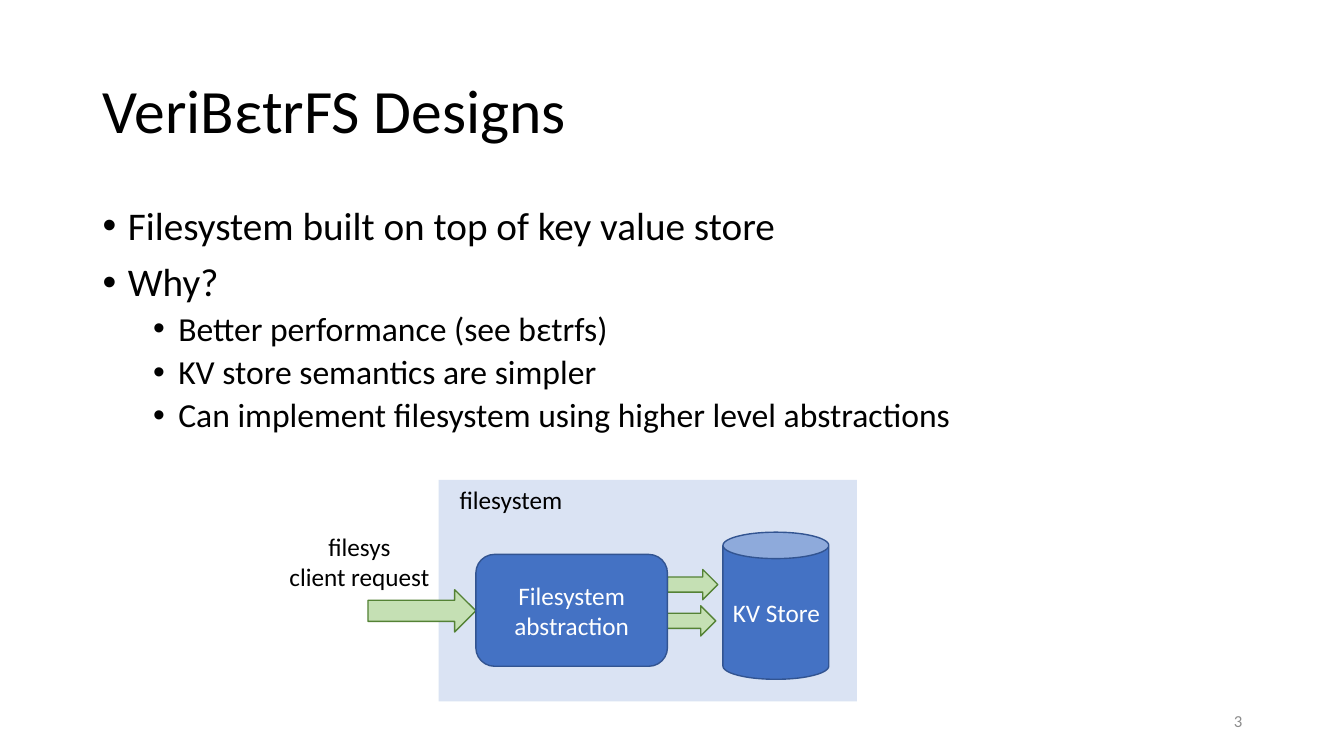
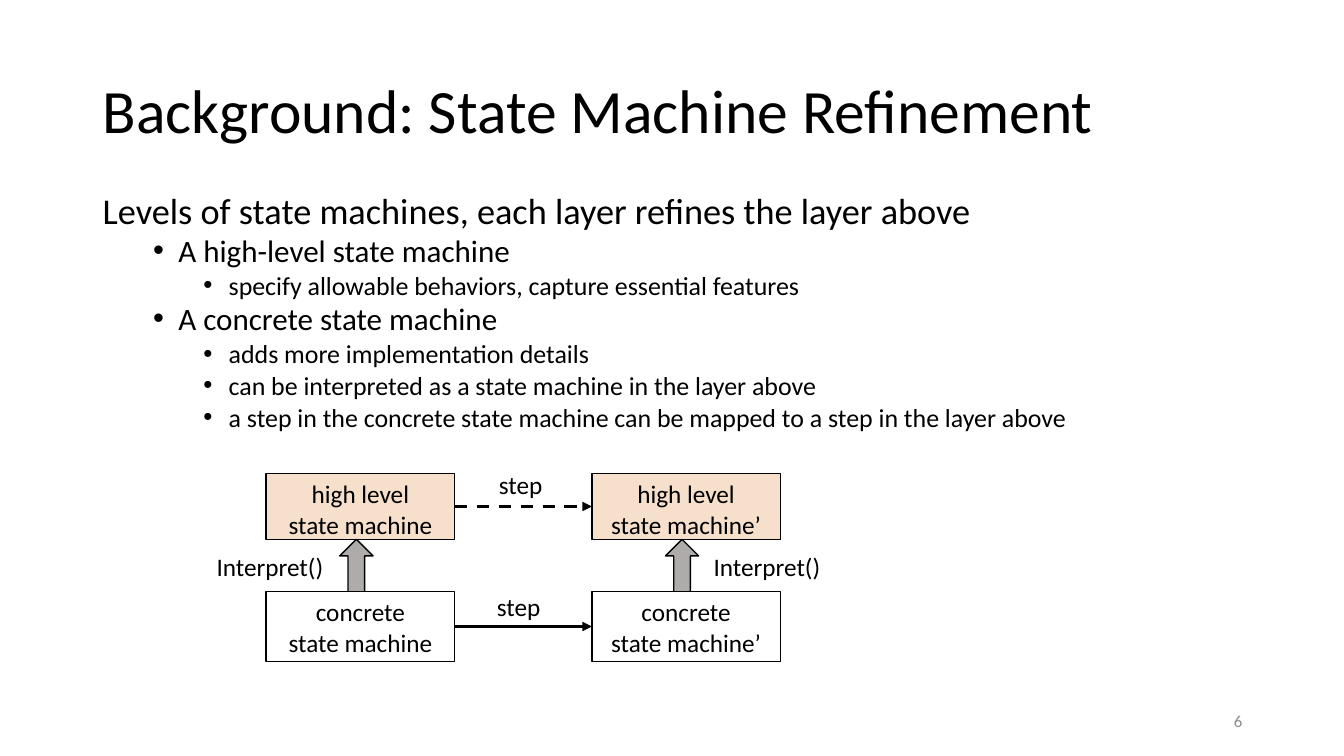
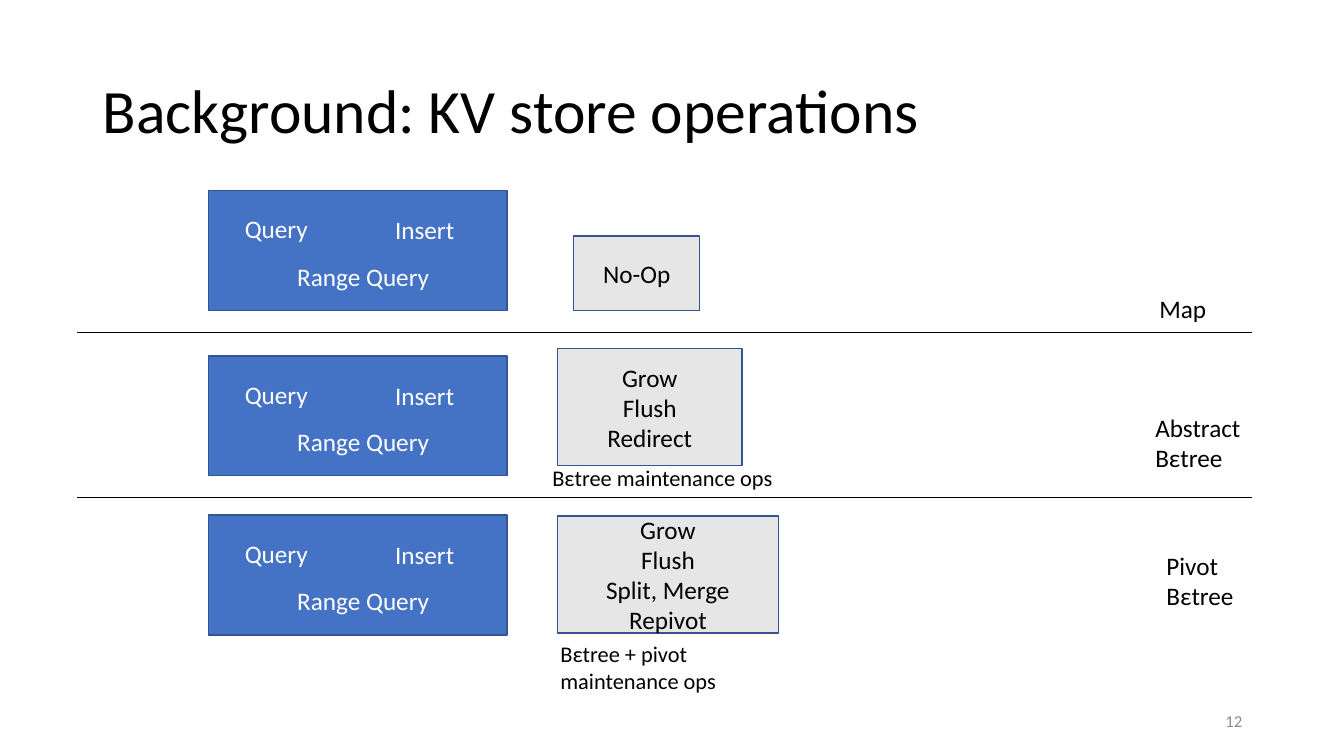
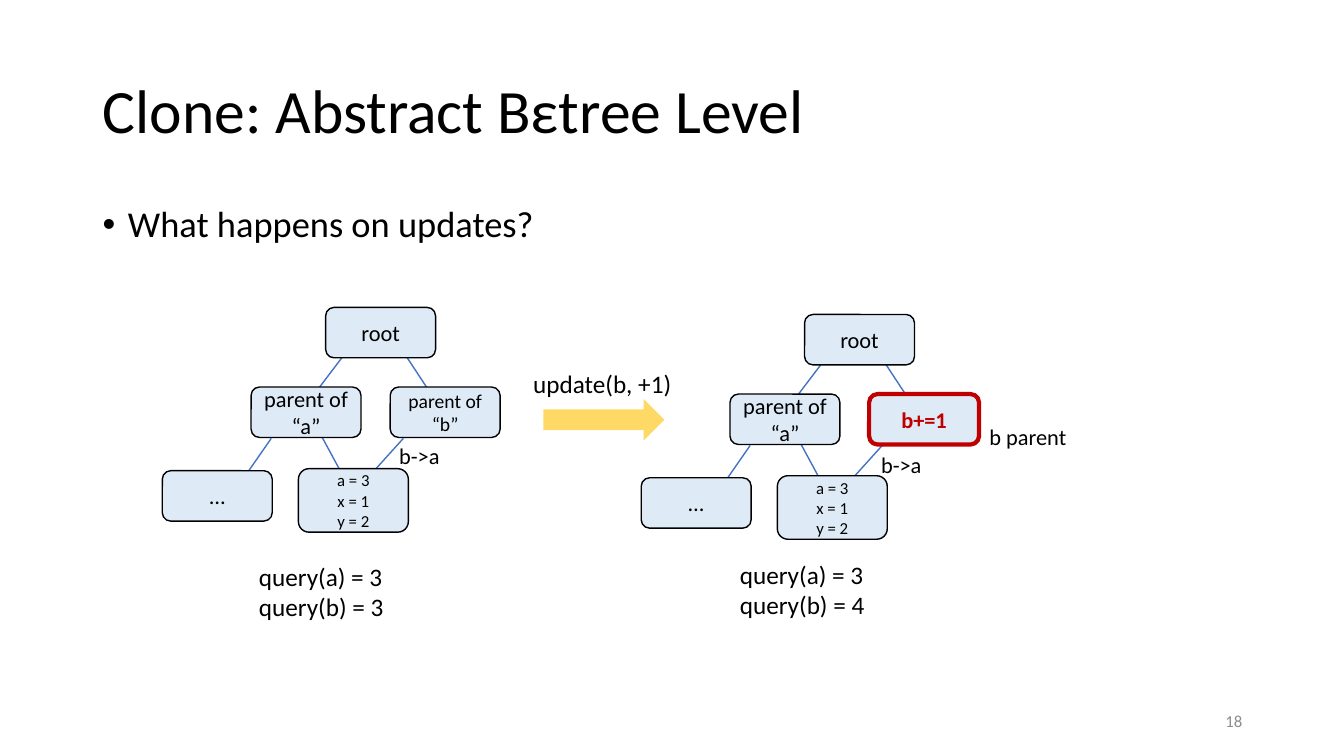
from lxml import etree
from pptx import Presentation
from pptx.dml.color import RGBColor
from pptx.enum import dml, shapes, text
from pptx.oxml.ns import qn
from pptx.util import Inches, Pt

FONT = "Calibri"
BLACK = RGBColor(0x00, 0x00, 0x00)
WHITE = RGBColor(0xFF, 0xFF, 0xFF)
MUTED = RGBColor(0x8C, 0x8C, 0x8C)
BLUE = RGBColor(0x44, 0x72, 0xC4)
NAVY = RGBColor(0x32, 0x54, 0x91)
PALE = RGBColor(0xDA, 0xE3, 0xF3)
ICE = RGBColor(0xDE, 0xEB, 0xF7)
MINT = RGBColor(0xC5, 0xE0, 0xB4)
GREEN = RGBColor(0x54, 0x82, 0x35)
PEACH = RGBColor(0xF6, 0xE0, 0xCC)
STONE = RGBColor(0xAF, 0xAB, 0xAB)
SMOKE = RGBColor(0xE7, 0xE6, 0xE6)
GOLD = RGBColor(0xFF, 0xD9, 0x66)
RED = RGBColor(0xC0, 0x00, 0x00)

KIND = shapes.MSO_SHAPE
TOP, MID = text.MSO_ANCHOR.TOP, text.MSO_ANCHOR.MIDDLE
LEFT, MIDDLE, RIGHT = text.PP_ALIGN.LEFT, text.PP_ALIGN.CENTER, text.PP_ALIGN.RIGHT


def put(slide, box, lines=(), size=18, color=BLACK, kind=None, fill=None, edge=None,
        width=1, align=None, anchor=None, wrap=True, bold=False):
    """Add a preset shape, or a text box when no kind is given, with one paragraph per line."""
    place = [Inches(v) for v in box]
    if kind is None:
        item = slide.shapes.add_textbox(*place)
    else:
        item = slide.shapes.add_shape(kind, *place)
        item.shadow.inherit = False
        item.fill.solid()
        item.fill.fore_color.rgb = fill
        if edge is None:
            item.line.fill.background()
        else:
            item.line.color.rgb = edge
            item.line.width = Pt(width)
    frame = item.text_frame
    frame.word_wrap = wrap
    frame.vertical_anchor = anchor or (MID if kind else TOP)
    for i, line in enumerate(lines):
        para = frame.add_paragraph() if i else frame.paragraphs[0]
        para.alignment = align or (MIDDLE if kind else LEFT)
        run = para.add_run()
        run.text = line
        run.font.name = FONT
        run.font.size = Pt(size)
        run.font.bold = bold
        run.font.color.rgb = color
    return item


def link(slide, start, end, color, width):
    ends = [Inches(v) for v in (*start, *end)]
    line = slide.shapes.add_connector(shapes.MSO_CONNECTOR.STRAIGHT, *ends)
    line.line.color.rgb = color
    line.line.width = Pt(width)
    etree.SubElement(line.element.spPr, qn("a:effectLst"))
    return line


deck = Presentation()
deck.slide_width, deck.slide_height = Inches(13.33), Inches(7.5)

# Title, number, body top, line spacing, size by level, first bulleted level, body lines
PAGES = [
    ("VeriBεtrFS Designs", 3, 2, 0.9, (28, 24), 0, [
        (0, "Filesystem built on top of key value store"),
        (0, "Why?"),
        (1, "Better performance (see bεtrfs)"),
        (1, "KV store semantics are simpler"),
        (1, "Can implement filesystem using higher level abstractions"),
    ]),
    ("Background: State Machine Refinement", 6, 1.9, 0.8, (25.9, 22.2, 18.5), 1, [
        (0, "Levels of state machines, each layer refines the layer above"),
        (1, "A high-level state machine"),
        (2, "specify allowable behaviors, capture essential features"),
        (1, "A concrete state machine"),
        (2, "adds more implementation details"),
        (2, "can be interpreted as a state machine in the layer above"),
        (2, "a step in the concrete state machine can be mapped to a step in the layer above"),
    ]),
    ("Background: KV store operations", 12, 2, 0.9, (), 0, []),
    ("Clone: Abstract Bεtree Level", 18, 2, 0.9, (26,), 0, [
        (0, "What happens on updates?"),
    ]),
]

pages = []
for title, number, top, pitch, sizes, first, body in PAGES:
    page = deck.slides.add_slide(deck.slide_layouts[6])
    pages.append(page)
    head = put(page, (0.92, 0.4, 11.5, 1.45), [title], 44, anchor=MID)
    head.text_frame.paragraphs[0].line_spacing = 0.9
    put(page, (9.42, 6.95, 3, 0.4), [str(number)], 12, MUTED, align=RIGHT, anchor=MID)
    if not body:
        continue
    block = put(page, (0.92, top, 11.5, 2.57 if len(body) > 1 else 0.76),
                [line for level, line in body])
    for i, (para, (level, line)) in enumerate(zip(block.text_frame.paragraphs, body)):
        para.level = level
        if level >= first:
            props = para._p.get_or_add_pPr()
            props.set("marL", str(Inches(0.25 + 0.5 * level)))
            props.set("indent", str(Inches(-0.25)))
            etree.SubElement(props, qn("a:buFont")).set("typeface", "Arial")
            etree.SubElement(props, qn("a:buChar")).set("char", "•")
        para.line_spacing = pitch
        if i:
            para.space_before = Pt(5 if level else 10)
        para.runs[0].font.size = Pt(sizes[level])

design, refine, store, clone = pages

# Filesystem on top of the key value store
put(design, (4.35, 4.76, 4.15, 2.2), kind=KIND.RECTANGLE, fill=PALE)
put(design, (4.46, 4.76, 1.59, 0.4), ["filesystem"])
put(design, (7.17, 5.28, 1.05, 1.46), kind=KIND.CAN, fill=BLUE, edge=NAVY)
put(design, (7.17, 5.88, 1.07, 0.4), ["KV Store"], color=WHITE)
put(design, (2.43, 5.22, 2.27, 0.71), ["filesys", "client request"], align=MIDDLE)
for box in ((3.65, 5.85, 1.07, 0.42), (6.62, 5.65, 0.5, 0.3), (6.6, 6.01, 0.5, 0.3)):
    put(design, box, kind=KIND.RIGHT_ARROW, fill=MINT, edge=GREEN)
put(design, (4.72, 5.5, 1.9, 1.11), ["Filesystem", "abstraction"], color=WHITE,
    kind=KIND.ROUNDED_RECTANGLE, fill=BLUE, edge=NAVY)

# Each state machine before and after a step
states = []
for left, prime, label in ((2.64, "", 2.05), (5.87, "’", 6.98)):
    machine = "state machine" + prime
    high = put(refine, (left, 4.7, 1.87, 0.65), ["high level", machine],
               kind=KIND.RECTANGLE, fill=PEACH, edge=BLACK, anchor=TOP)
    put(refine, (left + 0.73, 5.35, 0.33, 0.61), kind=KIND.UP_ARROW, fill=STONE, edge=BLACK)
    low = put(refine, (left, 5.87, 1.87, 0.69), ["concrete", machine],
              kind=KIND.RECTANGLE, fill=WHITE, edge=BLACK, anchor=TOP)
    put(refine, (label, 5.42, 1.27, 0.4), ["Interpret()"], wrap=False)
    states.append((high, low))
steps = (((4.85, 4.61), dml.MSO_LINE.DASH), ((4.83, 5.82), dml.MSO_LINE.SOLID))
for before, after, (spot, dash) in zip(*states, steps):
    step = link(refine, (0, 0), (1, 1), BLACK, 2.25)
    step.begin_connect(before, 3)
    step.end_connect(after, 1)
    step.line.dash_style = dash
    etree.SubElement(step.element.spPr.find(qn("a:ln")), qn("a:tailEnd")).set("type", "triangle")
    put(refine, (*spot, 0.64, 0.4), ["step"], wrap=False)

# Operations of each layer
for top in (1.89, 3.53, 5.11):
    put(store, (2.07, top, 2.96, 1.19), kind=KIND.RECTANGLE, fill=BLUE, edge=NAVY)
    for left, drop, width, name in ((2.33, 0.18, 1.04, "Query"), (3.82, 0.19, 1.04, "Insert"),
                                    (2.85, 0.65, 1.56, "Range Query")):
        put(store, (left, top + drop, width, 0.4), [name], color=WHITE)
for box, names in (
    ((5.69, 2.34, 1.25, 0.74), ["No-Op"]),
    ((5.53, 3.46, 1.83, 1.16), ["Grow", "Flush", "Redirect"]),
    ((5.53, 5.12, 2.19, 1.16), ["Grow", "Flush", "Split, Merge", "Repivot"]),
):
    put(store, box, names, kind=KIND.RECTANGLE, fill=SMOKE, edge=NAVY)
for y in (3.3, 4.93):
    link(store, (0.76, y), (12.42, y), BLACK, 0.5)
for box, size, label in (
    ((11.4, 2.86, 0.77, 0.4), 18, "Map"),
    ((11.36, 4.04, 1.32, 0.71), 18, "Abstract Bεtree"),
    ((11.47, 5.41, 1.32, 0.71), 18, "Pivot Bεtree"),
    ((5.38, 4.56, 2.41, 0.37), 16, "Bεtree maintenance ops"),
    ((5.46, 6.3, 2.41, 0.64), 16, "Bεtree + pivot maintenance ops"),
):
    put(store, box, [label], size)

# The tree before and after the update
EDGES = [
    ((3.39, 3.55), (3.14, 3.88)),
    ((4.02, 3.52), (4.23, 3.84)),
    ((2.69, 4.35), (2.44, 4.71)),
    ((3.18, 4.31), (3.38, 4.68)),
    ((4, 4.35), (3.72, 4.66)),
]
NODES = [
    (3.23, 3.05, 0.5, 16, ["root"]),
    (2.49, 3.84, 0.5, 16, ["parent of “a”"]),
    (1.61, 4.67, 0.5, 16, ["…"]),
    (2.96, 4.65, 0.63, 12, ["a = 3", "x = 1", "y = 2"]),
]
before = dict(lines=["parent of “b”"], size=14, edge=BLACK)
after = dict(lines=["b+=1"], size=16, color=RED, edge=RED, width=3, bold=True)
for dx, dy, style, tag, note, value in (
    (0, 0, before, (3.86, 4.34), (2.47, 5.52), 3),
    (4.75, 0.07, after, (8.64, 4.43), (7.24, 5.5), 4),
):
    for (x1, y1), (x2, y2) in EDGES:
        link(clone, (x1 + dx, y1 + dy), (x2 + dx, y2 + dy), BLUE, 1)
    for x, y, height, size, lines in NODES:
        put(clone, (x + dx, y + dy, 1.09, height), lines, size,
            kind=KIND.ROUNDED_RECTANGLE, fill=ICE, edge=BLACK)
    put(clone, (3.87 + dx, 3.84 + dy, 1.09, 0.5), kind=KIND.ROUNDED_RECTANGLE, fill=ICE, **style)
    put(clone, (*tag, 0.61, 0.37), ["b->a"], 16, wrap=False)
    put(clone, (*note, 1.57, 0.71), ["query(a) = 3", f"query(b) = {value}"])
put(clone, (5.39, 3.96, 1.2, 0.41), kind=KIND.RIGHT_ARROW, fill=GOLD)
put(clone, (5.19, 3.6, 1.74, 0.4), ["update(b, +1)"])
put(clone, (9.71, 4.15, 0.97, 0.37), ["b parent"], 16, align=MIDDLE, wrap=False)

deck.save("out.pptx")
